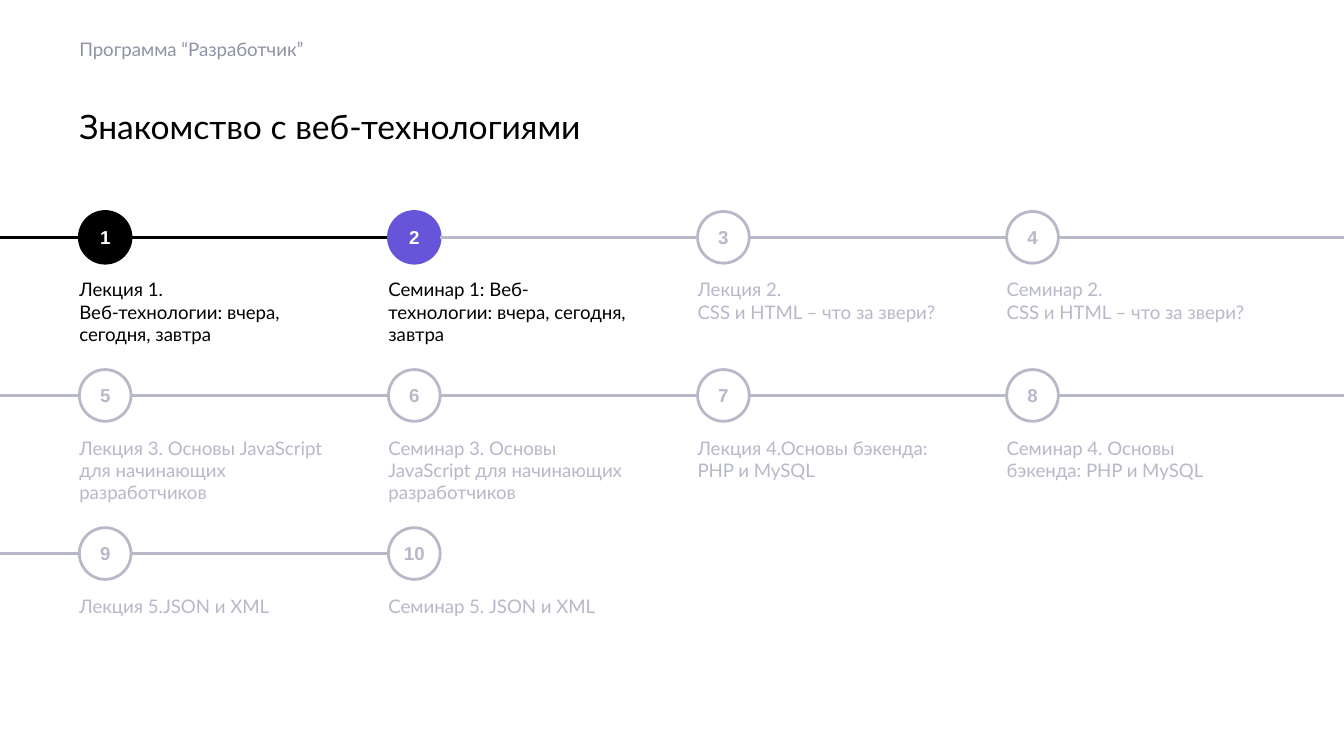
from lxml.etree import SubElement
from pptx import Presentation
from pptx.dml.color import RGBColor
from pptx.enum.shapes import MSO_CONNECTOR, MSO_SHAPE
from pptx.enum.text import MSO_ANCHOR, MSO_AUTO_SIZE, PP_ALIGN
from pptx.oxml.ns import qn
from pptx.util import Pt

COLORS = {
    "black": "000000",
    "white": "FFFFFF",
    "violet": "6654D9",
    "pale": "B7B9C8",
    "gray": "8F93A3",
}
WIDTH, HEIGHT = 720, 405
LEFT, TOP = 42.5, 113.3
STEP, PITCH = 165.6, 84.7
SIZE = 27.7
COLUMNS = 4

LESSONS = [
    "Лекция 1.\vВеб-технологии: вчера, сегодня, завтра",
    "Семинар 1: Веб-технологии: вчера, сегодня, завтра",
    "Лекция 2.\vCSS и HTML – что за звери?",
    "Семинар 2.\vCSS и HTML – что за звери?",
    "Лекция 3. Основы JavaScript для начинающих разработчиков",
    "Семинар 3. Основы JavaScript для начинающих разработчиков",
    "Лекция 4.Основы бэкенда: PHP и MySQL",
    "Семинар 4. Основы бэкенда: PHP и MySQL",
    "Лекция 5.JSON и XML",
    "Семинар 5. JSON и XML",
]
DONE, CURRENT = 0, 1


def tint(name):
    return RGBColor.from_string(COLORS[name])


class Painter:
    font = "Lato"
    stroke = 1.5

    def __init__(self, slide):
        self.slide = slide

    def letter(self, shape, text, color, size=10, font=None, bold=False,
               align=PP_ALIGN.LEFT, anchor=MSO_ANCHOR.TOP, insets=(0, 0, 0, 0)):
        frame = shape.text_frame
        frame.text = text
        frame.word_wrap = True
        frame.auto_size = MSO_AUTO_SIZE.NONE
        frame.vertical_anchor = anchor
        (frame.margin_left, frame.margin_top,
         frame.margin_right, frame.margin_bottom) = map(Pt, insets)
        para = frame.paragraphs[0]
        para.alignment = align
        para.space_before = Pt(0)
        for run in para.runs:
            run.font.name = font or self.font
            run.font.size = Pt(size)
            run.font.bold = bold
            run.font.color.rgb = tint(color)

    def holder(self, shape, box, text, color, **style):
        shape.left, shape.top, shape.width, shape.height = map(Pt, box)
        self.letter(shape, text, color, **style)

    def label(self, x, y, text, color):
        lines = 3 if len(text) > 45 else 2
        box = self.slide.shapes.add_textbox(
            Pt(x), Pt(y), Pt(137.5), Pt(14.4 + 12 * lines))
        self.letter(box, text, color, insets=(0, 7.2, 7.2, 7.2))

    def badge(self, x, y, text, fill, edge, color):
        disc = self.slide.shapes.add_shape(
            MSO_SHAPE.OVAL, Pt(x), Pt(y), Pt(SIZE), Pt(SIZE))
        disc.shadow.inherit = False
        disc.fill.solid()
        disc.fill.fore_color.rgb = tint(fill)
        disc.line.color.rgb = tint(edge)
        disc.line.width = Pt(self.stroke)
        self.letter(disc, text, color, font="Arial", bold=True,
                    align=PP_ALIGN.CENTER, anchor=MSO_ANCHOR.MIDDLE)

    def line(self, start, end, y, color):
        link = self.slide.shapes.add_connector(
            MSO_CONNECTOR.STRAIGHT, Pt(start), Pt(y), Pt(end), Pt(y))
        link.line.color.rgb = tint(color)
        link.line.width = Pt(self.stroke)
        SubElement(link._element.spPr, qn("a:effectLst"))


def main():
    deck = Presentation()
    deck.slide_width, deck.slide_height = Pt(WIDTH), Pt(HEIGHT)
    slide = deck.slides.add_slide(deck.slide_layouts[0])
    pen = Painter(slide)

    pen.holder(slide.shapes.title, (LEFT, 56.9, 635, 25.2),
               "Знакомство с веб-технологиями", "black", size=18)
    pen.holder(slide.placeholders[1], (LEFT, 12.2, 635, 28.1),
               "Программа “Разработчик”", "gray",
               anchor=MSO_ANCHOR.MIDDLE, insets=(0, 2.9, 0, 2.9))

    for index, lesson in enumerate(LESSONS):
        row, col = divmod(index, COLUMNS)
        x, y = LEFT + col * STEP, TOP + row * PITCH
        middle = y + SIZE / 2
        start = x - STEP + SIZE if col else 0
        ink = "black" if index <= CURRENT else "pale"
        pen.line(start, x, middle, ink)
        if col == COLUMNS - 1:
            pen.line(x + SIZE, WIDTH, middle, ink)
        if index == DONE:
            look = ("black", "black", "white")
        elif index == CURRENT:
            look = ("violet", "violet", "white")
        else:
            look = ("white", "pale", "pale")
        pen.badge(x, y, str(index + 1), *look)
        pen.label(x, y + 28.6, lesson, ink)

    deck.save("out.pptx")


if __name__ == "__main__":
    main()
